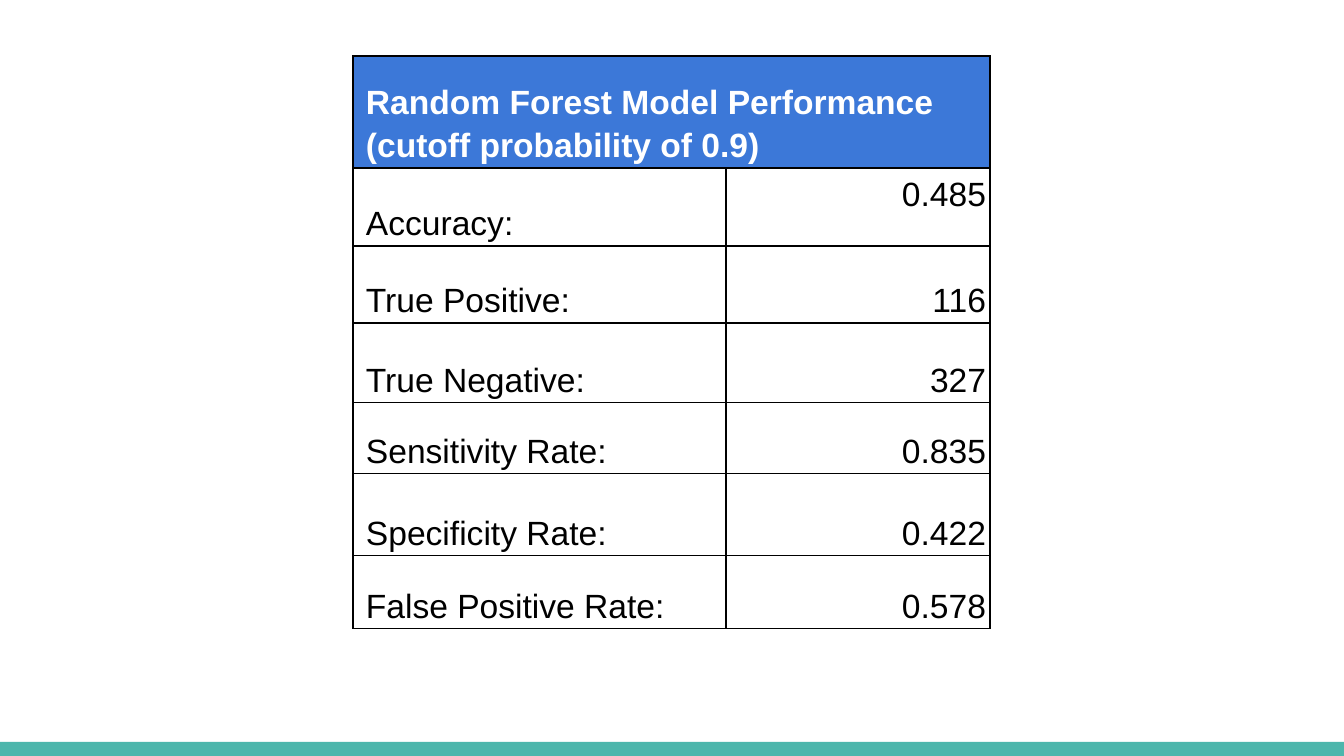
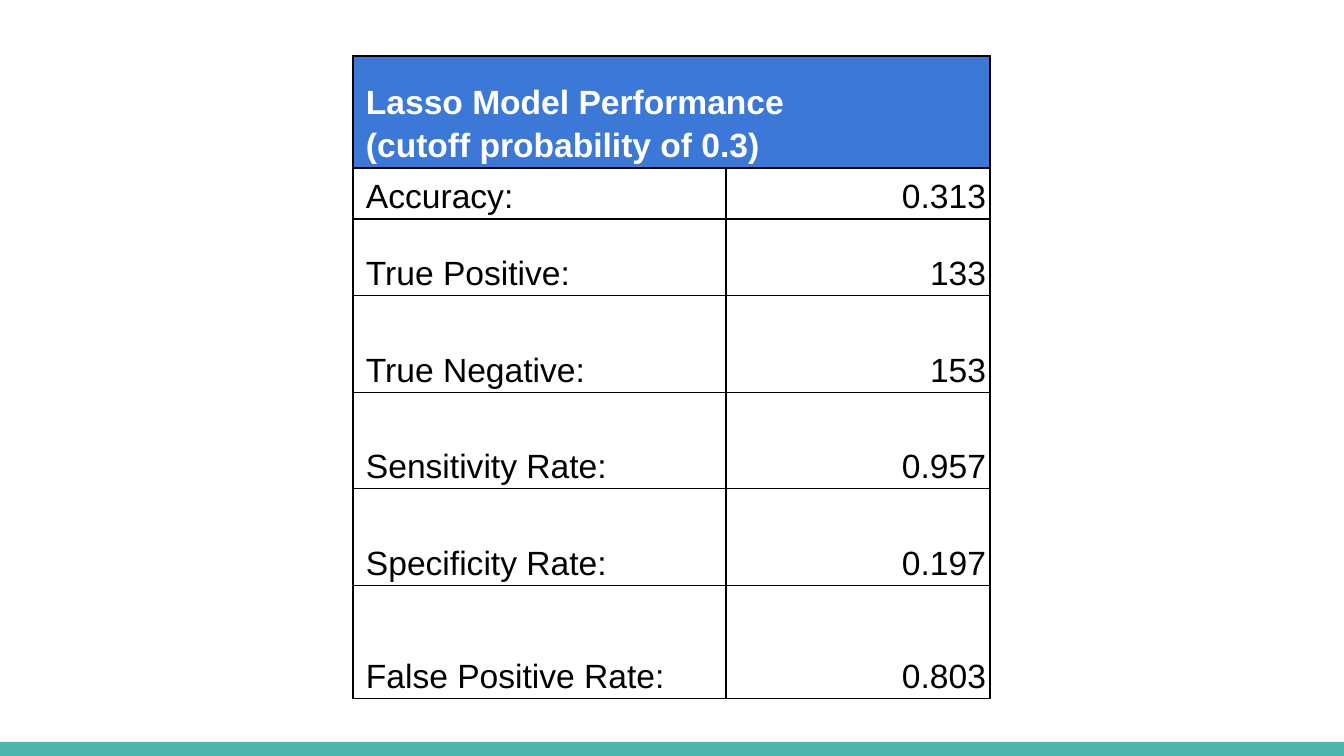
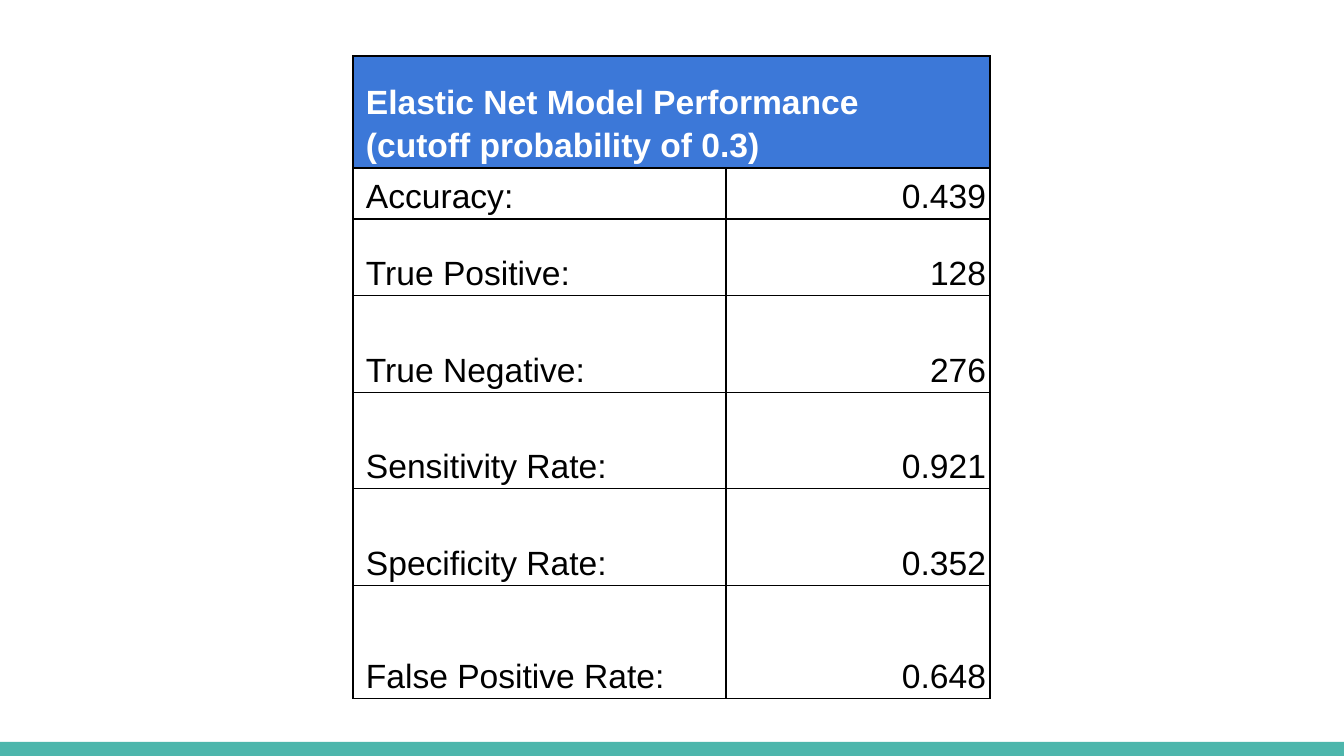
from lxml.etree import SubElement
from pptx import Presentation
from pptx.dml.color import RGBColor
from pptx.enum.shapes import MSO_SHAPE
from pptx.enum.text import MSO_ANCHOR, PP_ALIGN
from pptx.oxml.ns import qn
from pptx.util import Emu, Pt

PX_PER_INCH = 134.4
PAGE_WIDTH, PAGE_HEIGHT = 1344, 756
BAND_HEIGHT = 14
TABLE_LEFT, TABLE_TOP = 353, 56
COLUMN_WIDTHS = [373, 264]
TEAL, BLUE, WHITE, BLACK = "4DB6AC", "3C78D8", "FFFFFF", "000000"

HEADER = {"size": Pt(18), "name": "Arial", "bold": True}
BODY = {**HEADER, "bold": False}
LABEL_CELL = {"margin_left": 13, "margin_right": 13, "margin_top": 3, "margin_bottom": 3}
VALUE_CELL = {**LABEL_CELL, "margin_left": 4, "margin_right": 4}

MEASURES = [
    "Accuracy:",
    "True Positive:",
    "True Negative:",
    "Sensitivity Rate:",
    "Specificity Rate:",
    "False Positive Rate:",
]
FOREST_ROWS = [112, 78, 77, 80, 71, 82, 73]
REGRESSION_ROWS = [112, 51, 77, 97, 96, 97, 113]
MODELS = [
    ("Random Forest Model Performance (cutoff probability of 0.9)", FOREST_ROWS,
     ["0.485", "116", "327", "0.835", "0.422", "0.578"], MSO_ANCHOR.TOP),
    ("Lasso Model Performance\v(cutoff probability of 0.3)", REGRESSION_ROWS,
     ["0.313", "133", "153", "0.957", "0.197", "0.803"], MSO_ANCHOR.BOTTOM),
    ("Elastic Net Model Performance\v(cutoff probability of 0.3)", REGRESSION_ROWS,
     ["0.439", "128", "276", "0.921", "0.352", "0.648"], MSO_ANCHOR.BOTTOM),
]


def px(length):
    """Turn px into EMU."""
    return Emu(round(length * 914400 / PX_PER_INCH))


def color(code):
    """Turn a hex string into a colour."""
    return RGBColor.from_string(code)


class Deck:
    """Hold the shared style and the current page."""

    def __init__(self):
        """Start an empty deck of the right size."""
        self.deck = Presentation()
        self.deck.slide_width = px(PAGE_WIDTH)
        self.deck.slide_height = px(PAGE_HEIGHT)
        self.page = None

    def add_page(self):
        """Start a blank page with the band along its foot."""
        self.page = self.deck.slides.add_slide(self.deck.slide_layouts[6])
        background = self.page.background.fill
        background.solid()
        background.fore_color.rgb = color(WHITE)
        self.add_band(0, PAGE_HEIGHT - BAND_HEIGHT, PAGE_WIDTH, BAND_HEIGHT)

    def add_band(self, left, top, width, height):
        """Add a plain teal band."""
        band = self.page.shapes.add_shape(
            MSO_SHAPE.RECTANGLE, px(left), px(top), px(width), px(height))
        band.shadow.inherit = False
        band.fill.solid()
        band.fill.fore_color.rgb = color(TEAL)
        band.line.fill.background()

    def add_borders(self, cell):
        """Draw a thin black line on each side of a cell."""
        properties = cell._tc.get_or_add_tcPr()
        for side in ("a:lnL", "a:lnR", "a:lnT", "a:lnB"):
            line = SubElement(properties, qn(side), w=str(Pt(0.75)))
            fill = SubElement(line, qn("a:solidFill"))
            SubElement(fill, qn("a:srgbClr"), val=BLACK)

    def fill_cell(self, cell, text, font, ink, margins, align=PP_ALIGN.LEFT):
        """Write one cell's text in its style."""
        cell.vertical_anchor = MSO_ANCHOR.BOTTOM
        for name, length in margins.items():
            setattr(cell, name, px(length))
        para = cell.text_frame.paragraphs[0]
        para.text = text
        para.alignment = align
        para.line_spacing = 1.15
        for span in para.runs:
            for name, value in font.items():
                setattr(span.font, name, value)
            span.font.color.rgb = color(ink)

    def add_scores(self, title, heights, values, accuracy_anchor):
        """Add a table of measures under a merged header."""
        table = self.page.shapes.add_table(
            len(heights), len(COLUMN_WIDTHS), px(TABLE_LEFT), px(TABLE_TOP),
            px(sum(COLUMN_WIDTHS)), px(sum(heights))).table
        table.first_row = table.horz_banding = False
        for column, width in zip(table.columns, COLUMN_WIDTHS):
            column.width = px(width)
        for row, height in zip(table.rows, heights):
            row.height = px(height)
        for cell in table.iter_cells():
            self.add_borders(cell)
            cell.fill.background()
        header = table.cell(0, 0)
        header.merge(table.cell(0, 1))
        header.fill.solid()
        header.fill.fore_color.rgb = color(BLUE)
        self.fill_cell(header, title, HEADER, WHITE, LABEL_CELL)
        for row, (measure, value) in enumerate(zip(MEASURES, values), 1):
            self.fill_cell(table.cell(row, 0), measure, BODY, BLACK, LABEL_CELL)
            self.fill_cell(table.cell(row, 1), value, BODY, BLACK, VALUE_CELL, PP_ALIGN.RIGHT)
        table.cell(1, 1).vertical_anchor = accuracy_anchor


def main():
    """Build one page for each model."""
    deck = Deck()
    for model in MODELS:
        deck.add_page()
        deck.add_scores(*model)
    deck.deck.save("out.pptx")


if __name__ == "__main__":
    main()
